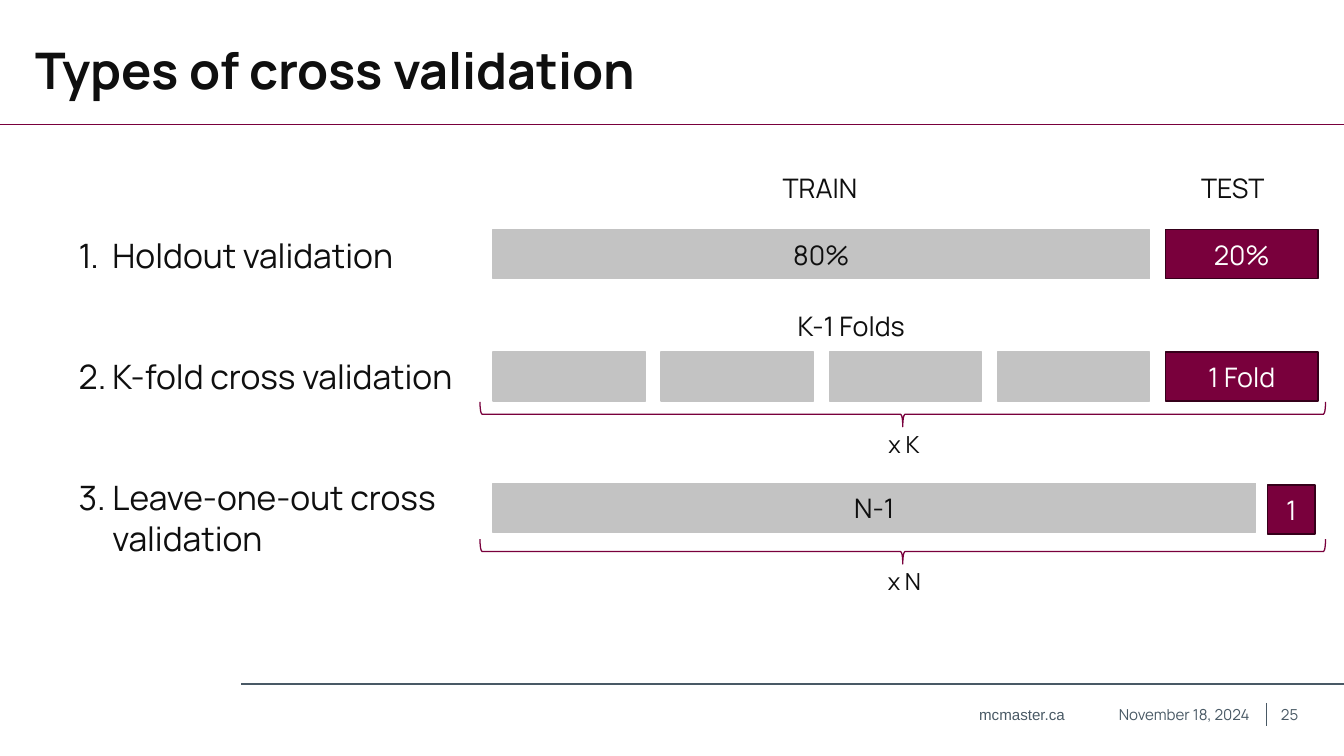
from lxml import etree
from pptx import Presentation
from pptx.dml.color import RGBColor
from pptx.enum.shapes import MSO_CONNECTOR, MSO_SHAPE
from pptx.enum.text import MSO_ANCHOR, MSO_AUTO_SIZE, PP_ALIGN
from pptx.oxml.ns import qn
from pptx.util import Inches, Pt

RECT, BRACE = MSO_SHAPE.RECTANGLE, MSO_SHAPE.RIGHT_BRACE
STRAIGHT = MSO_CONNECTOR.STRAIGHT
TOP, MIDDLE = MSO_ANCHOR.TOP, MSO_ANCHOR.MIDDLE
LEFT, CENTER, RIGHT = PP_ALIGN.LEFT, PP_ALIGN.CENTER, PP_ALIGN.RIGHT
FIXED = MSO_AUTO_SIZE.NONE
INK, SLATE, WHITE = "0F0F0F", "495965", "FFFFFF"
GREY, MAROON, EDGE = "C3C3C3", "79003C", "35001A"
color = RGBColor.from_string


def write(shape, text, size=32, font="Manrope", ink=INK, bold=False,
          align=LEFT, anchor=TOP, wrap=True, gap=0, line=1, number=False):
    """Fill a shape with formatted text, one paragraph per line of text."""
    frame = shape.text_frame
    frame.auto_size = FIXED
    frame.word_wrap = wrap
    frame.vertical_anchor = anchor
    frame.text = text
    for i, para in enumerate(frame.paragraphs):
        para.alignment = align
        para.line_spacing = line
        para.space_before = Pt(gap if i else 0)
        if number:
            props = para._p.get_or_add_pPr()
            props.set("marL", str(Inches(0.56)))
            props.set("indent", str(-Inches(0.56)))
            etree.SubElement(props, qn("a:buFont"), typeface="+mj-lt")
            etree.SubElement(props, qn("a:buAutoNum"), type="arabicPeriod")
        for run in para.runs:
            run.font.name = font
            run.font.size = Pt(size)
            run.font.bold = bold
            run.font.color.rgb = color(ink)


def block(left, top, width, fill, edge, text="", ink=INK):
    bar = slide.shapes.add_shape(
        RECT, Inches(left), Inches(top), Inches(width), Inches(0.81))
    bar.shadow.inherit = False
    bar.fill.solid()
    bar.fill.fore_color.rgb = color(fill)
    bar.line.color.rgb = color(edge)
    bar.line.width = Pt(1.5)
    if text:
        write(bar, text, ink=ink, align=CENTER, anchor=MIDDLE)


deck = Presentation()
deck.slide_width, deck.slide_height = Inches(22.22), Inches(12.5)
slide = deck.slides.add_slide(deck.slide_layouts[1])

# Rules of the page frame
for x1, y1, x2, y2, tint, weight in [
    (3.99, 11.31, 22.22, 11.31, SLATE, 1.75),
    (20.93, 11.62, 20.93, 12, SLATE, 1),
    (0, 2.06, 22.22, 2.06, MAROON, 1.75),
]:
    rule = slide.shapes.add_connector(
        STRAIGHT, Inches(x1), Inches(y1), Inches(x2), Inches(y2))
    rule.line.color.rgb = color(tint)
    rule.line.width = Pt(weight)
    etree.SubElement(rule._element.spPr, qn("a:effectLst"))

# Title and numbered list
title, body = slide.shapes.title, slide.placeholders[1]
title.left, title.top = Inches(0.48), Inches(0.5)
title.width, title.height = Inches(21.26), Inches(0.81)
write(title, "Types of cross validation", size=60, bold=True, line=1.1)

body.left, body.top = Inches(1.2), Inches(3.84)
body.width, body.height = Inches(9.01), Inches(5.49)
write(body, "Holdout validation\nK-fold cross validation\n"
      "Leave-one-out cross\vvalidation", size=40, gap=96, number=True)

# Bars: five equal folds set the grid
START, FOLD, STEP = 8.15, 2.52, 2.78
LAST = START + 4 * STEP
block(START, 3.8, 10.86, GREY, GREY, "80%")
block(LAST, 3.8, FOLD, MAROON, EDGE, "20%", WHITE)
for i in range(4):
    block(START + i * STEP, 5.82, FOLD, GREY, GREY)
block(LAST, 5.82, FOLD, MAROON, EDGE, "1 Fold", WHITE)
block(START, 7.99, 12.61, GREY, GREY, "N-1")
block(20.96, 8.02, 0.78, MAROON, EDGE, "1", WHITE)

# Braces, turned to point down
for top in (-0.14, 2.13):
    brace = slide.shapes.add_shape(
        BRACE, Inches(14.72), Inches(top), Inches(0.41), Inches(13.98))
    brace.rotation = 90
    brace.shadow.inherit = False
    brace.fill.background()
    brace.line.color.rgb = color(MAROON)
    brace.line.width = Pt(1.5)

# Labels and footer
label = {"wrap": False}
times = {"wrap": False, "size": 28}
foot = {"size": 18, "ink": SLATE, "anchor": MIDDLE}
for text, left, top, width, height, style in [
    ("TRAIN", 12.84, 2.79, 1.55, 0.64, label),
    ("TEST", 19.76, 2.79, 1.29, 0.64, label),
    ("K-1 Folds", 13.09, 5.07, 2.14, 0.64, label),
    ("x K", 14.59, 7.06, 0.75, 0.57, times),
    ("x N", 14.58, 9.33, 0.8, 0.57, times),
    ("mcmaster.ca", 16.09, 11.62, 1.86, 0.38, {**foot, "font": "Arial"}),
    ("November 18, 2024", 17.95, 11.62, 2.81, 0.38, {**foot, "align": RIGHT}),
    ("25", 21.08, 11.61, 0.84, 0.41, foot),
]:
    box = slide.shapes.add_textbox(
        Inches(left), Inches(top), Inches(width), Inches(height))
    write(box, text, **style)

deck.save("out.pptx")
